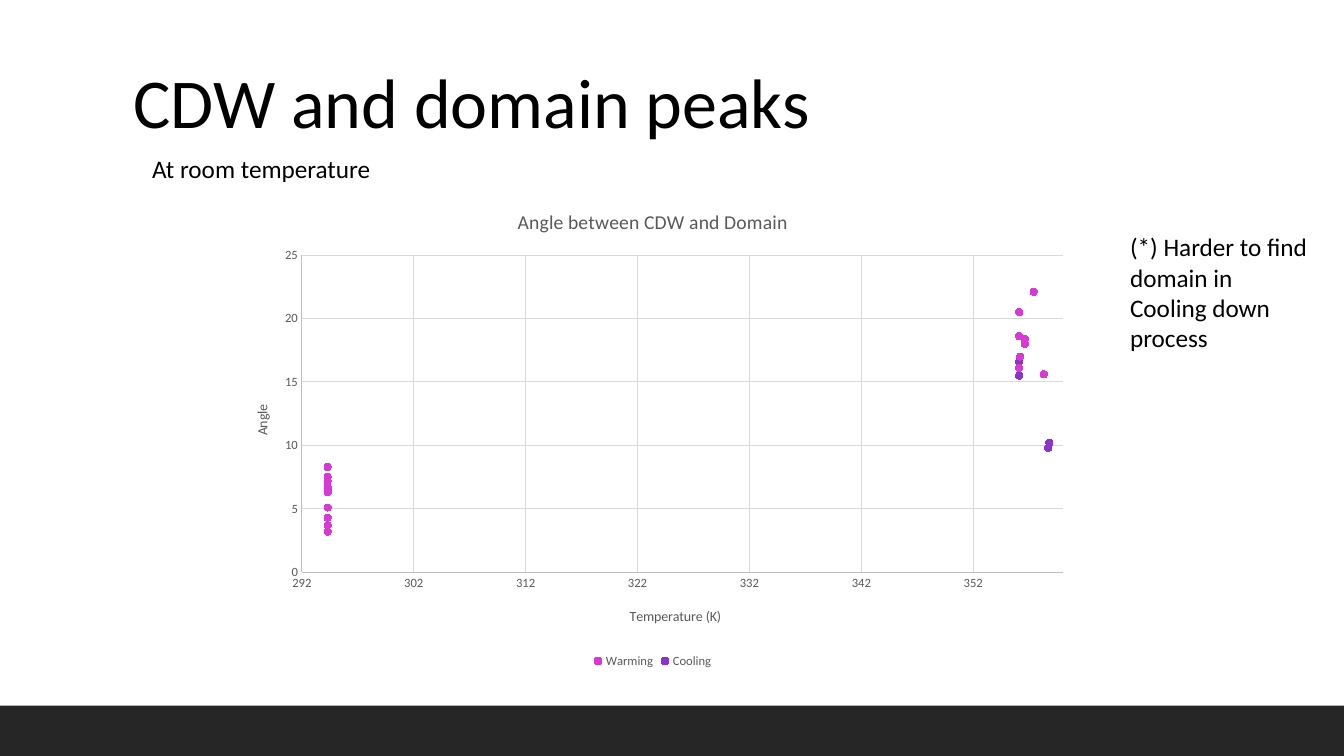
import pptx
import pptx.chart.data
import pptx.dml.color
import pptx.enum.chart
import pptx.enum.shapes
import pptx.enum.text
import pptx.oxml
import pptx.oxml.ns
import pptx.util

WIDE, HIGH = 13.33, 7.5
FONT = "Calibri"
ROOM = 294.3
WARM = [(ROOM, y) for y in
        (3.2, 7.5, 8.3, 3.7, 5.1, 7.2, 8.3, 6.7, 6.6, 6.3, 6.5, 4.3)] + [
    (356.1, 18.6), (356.1, 16.1), (356.1, 20.5), (356.2, 17), (356.1, 18.6),
    (356.6, 18.4), (356.6, 18), (357.4, 22.1), (358.3, 15.6)]
COOL = [(358.8, 10.2), (358.7, 9.8), (356.1, 15.5), (356.1, 16.6)]
SERIES = [("Warming", WARM, "D838D6"), ("Cooling", COOL, "8D33CA")]


def tint(code):
    """Turn a hex string into a colour."""
    return pptx.dml.color.RGBColor.from_string(code)


def style(font, size, color):
    """Set the face, size and colour of a font."""
    font.name, font.size, font.bold = FONT, pptx.util.Pt(size), False
    font.color.rgb = tint(color)


def write(frame, text, size=18, color="000000", wrap=True, align=None):
    """Put one formatted paragraph in a text frame."""
    frame.text = text
    frame.word_wrap = wrap
    part = frame.paragraphs[0]
    part.alignment = align
    style(part.runs[0].font, size, color)


def inches(box):
    """Convert a box in inches to lengths."""
    return [pptx.util.Inches(n) for n in box]


def place(node, index, **shares):
    """Give a chart part a manual layout in shares of the chart."""
    for old in node.findall(pptx.oxml.ns.qn("c:layout")):
        node.remove(old)
    target = '<c:layoutTarget val="inner"/>' if "w" in shares else ""
    modes = "".join(f'<c:{k}Mode val="edge"/>' for k in "xy")
    sizes = "".join(f'<c:{k} val="{v}"/>' for k, v in shares.items())
    node.insert(index, pptx.oxml.parse_xml(
        f'<c:layout {pptx.oxml.ns.nsdecls("c")}><c:manualLayout>'
        f'{target}{modes}{sizes}</c:manualLayout></c:layout>'))


def footer(slide, box):
    """Draw the dark band along the foot of the slide."""
    kind = pptx.enum.shapes.MSO_SHAPE.RECTANGLE
    band = slide.shapes.add_shape(kind, *inches(box))
    band.shadow.inherit = False
    band.fill.solid()
    band.fill.fore_color.rgb = tint("262626")
    band.line.fill.background()


def heading(slide, box):
    """Place the title in its box."""
    title = slide.shapes.title
    title.left, title.top, title.width, title.height = inches(box)
    write(title.text_frame, "CDW and domain peaks", size=50, wrap=False,
          align=pptx.enum.text.PP_ALIGN.LEFT)


def note(slide, box, text):
    """Add a text box."""
    write(slide.shapes.add_textbox(*inches(box)).text_frame, text)


def scale(axis, title, low, high, step, spot):
    """Format one axis with its title, range and grid."""
    axis.minimum_scale, axis.maximum_scale, axis.major_unit = low, high, step
    axis.major_tick_mark = pptx.enum.chart.XL_TICK_MARK.NONE
    axis.has_major_gridlines = True
    lines = (axis.format.line, "BFBFBF"), (axis.major_gridlines.format.line, "D9D9D9")
    for line, color in lines:
        line.color.rgb = tint(color)
        line.width = pptx.util.Pt(0.75)
    style(axis.tick_labels.font, 9, "595959")
    axis.tick_labels.number_format = "General"
    axis.tick_labels.number_format_is_linked = False
    write(axis.axis_title.text_frame, title, size=10, color="595959")
    place(axis.axis_title._element, 1, **spot)


def scatter(slide, box):
    """Plot angle against temperature."""
    data = pptx.chart.data.XyChartData()
    for name, points, _ in SERIES:
        row = data.add_series(name)
        for x, y in points:
            row.add_data_point(x, y)
    kind = pptx.enum.chart.XL_CHART_TYPE.XY_SCATTER
    chart = slide.shapes.add_chart(kind, *inches(box), data).chart
    style(chart.font, 10, "000000")
    chart.has_title = True
    write(chart.chart_title.text_frame, "Angle between CDW and Domain",
          size=14, color="595959")
    chart.has_legend = True
    chart.legend.position = pptx.enum.chart.XL_LEGEND_POSITION.BOTTOM
    chart.legend.include_in_layout = False
    style(chart.legend.font, 9, "595959")
    scale(chart.category_axis, "Temperature (K)", 292, 360, 10,
          dict(x=0.47, y=0.86))
    scale(chart.value_axis, "Angle", 0, 25, 5, dict(x=0.03, y=0.44))
    plot = chart.plots[0]
    plot.vary_by_categories = False
    for row, (_, _, color) in zip(plot.series, SERIES):
        row.smooth = False
        row.format.line.fill.background()
        row.marker.style = pptx.enum.chart.XL_MARKER_STYLE.CIRCLE
        row.marker.size = 5
        row.marker.format.fill.solid()
        row.marker.format.fill.fore_color.rgb = tint(color)
        row.marker.format.line.color.rgb = tint(color)
    area = chart._chartSpace.chart.plotArea
    place(area, 0, x=0.09, y=0.136, w=0.889, h=0.657)


def main():
    """Build the slide and save it."""
    deck = pptx.Presentation()
    deck.slide_width, deck.slide_height = inches((WIDE, HIGH))
    slide = deck.slides.add_slide(deck.slide_layouts[5])
    footer(slide, (0, HIGH - 0.5, WIDE, 0.5))
    heading(slide, (1.22, 0.53, 7.05, 0.94))
    note(slide, (1.41, 1.47, 2.57, 0.4), "At room temperature")
    scatter(slide, (2.23, 1.88, 8.49, 4.79))
    note(slide, (11.11, 2.25, 1.97, 1.31),
         "(*) Harder to find domain in Cooling down process")
    deck.save("out.pptx")


if __name__ == "__main__":
    main()
